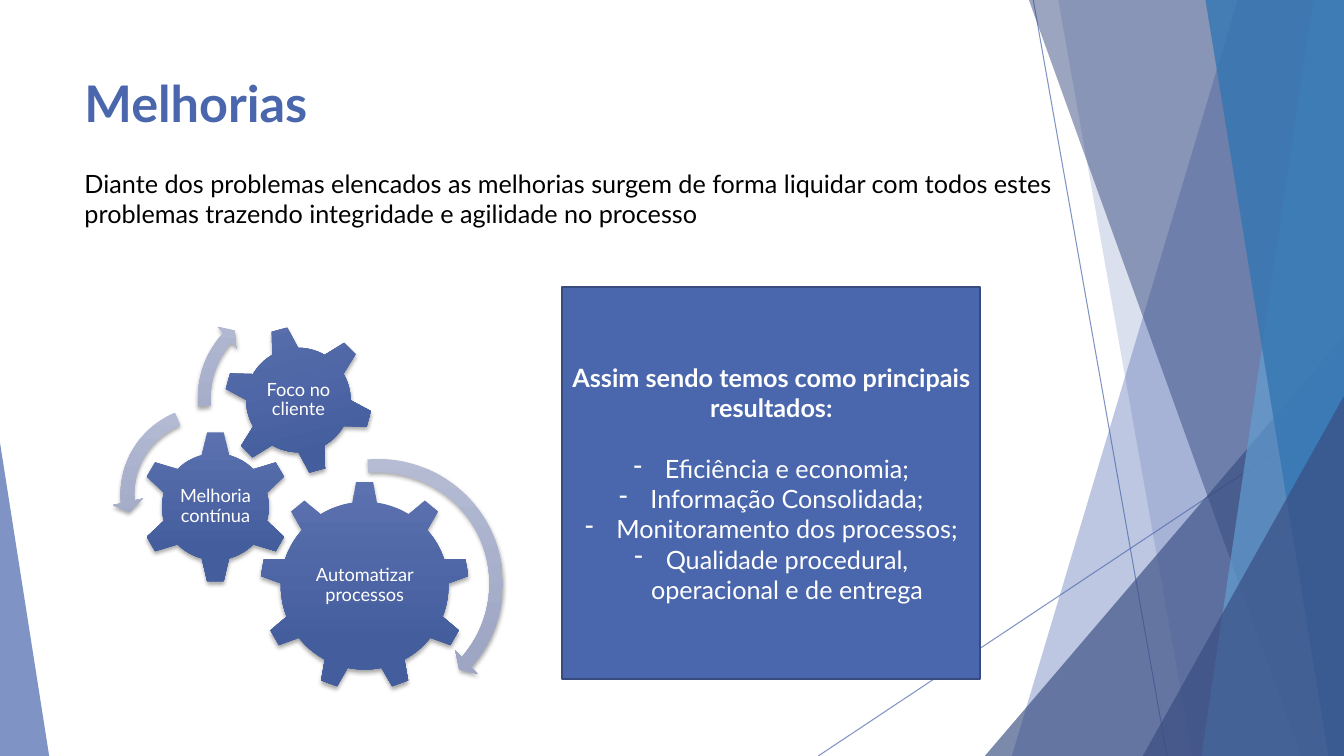
"""Builds the "Melhorias" slide: gears on the left, main results on the right."""
from lxml.etree import SubElement
from pptx import Presentation
from pptx.dml.color import RGBColor
from pptx.enum.shapes import MSO_CONNECTOR, MSO_SHAPE
from pptx.enum.text import MSO_ANCHOR, PP_ALIGN
from pptx.oxml.ns import qn
from pptx.util import Cm, Pt

WIDTH, HEIGHT = 33.87, 19.05
FONT = "Lato"
BLUE, NAVY, SKY, OCEAN = "4A66AC", "384C81", "629DD1", "3477B2"
WHITE, BLACK, PANEL_EDGE = "FFFFFF", "000000", "374B7F"
GEAR_SHADES = ("5C72B0", "445D9D")
ARROW_SHADES = ("B5BCD4", "9FA6C4")

TITLE = "Melhorias"
INTRO = ("Diante dos problemas elencados as melhorias surgem de forma liquidar "
         "com todos estes problemas trazendo integridade e agilidade no processo")
RESULTS_HEADING = "Assim sendo temos como principais resultados:"
RESULTS = [
    "Eficiência e economia;",
    "Informação Consolidada;",
    "Monitoramento dos processos;",
    "Qualidade procedural, operacional e de entrega",
]

# gear: label, preset, left, top, size, rotation, label width, label height
GEARS = [
    ("Automatizar processos", MSO_SHAPE.GEAR_9, 6.55, 12.12, 5.28, 0, 3.15, 2.72),
    ("Melhoria contínua", MSO_SHAPE.GEAR_6, 3.51, 10.85, 3.84, 0, 1.91, 1.91),
    ("Foco no cliente", MSO_SHAPE.GEAR_6, 5.64, 8.2, 3.76, 345, 2.11, 2.11),
]
TURN_ARROWS = [
    (MSO_SHAPE.CIRCULAR_ARROW, 6.15, 11.33, 6.76, (0.05, 2.99, 24.96, 159.06, 0.06)),
    (MSO_SHAPE.LEFT_CIRCULAR_ARROW, 2.82, 10.01, 4.9, (0.07, 4.3, 104.89, 148.38, 0.08)),
    (MSO_SHAPE.CIRCULAR_ARROW, 4.78, 7.39, 5.28, (0.06, 3.94, 133.14, 105.08, 0.07)),
]

RAYS = [(26.04, 0, 29.41, HEIGHT), (WIDTH, 10.24, 20.62, HEIGHT)]
FACETS = [
    ("band", (31.19, 25.5), BLUE, 36),
    ("band", (26.67, 30.05), BLUE, 20),
    ("corner", (24.82, 8.46, WIDTH, 1), NAVY, 66),
    ("band", (25.93, 32.79), NAVY, 50),
    ("band", (33.1, 30.28), SKY, 70),
    ("band", (30.38, 33.48), OCEAN, 80),
    ("corner", (28.8, 9.98, WIDTH, 1), NAVY, 66),
    ("corner", (0, 11.15, 1.24, 0), BLUE, 70),
]


def rgb(colour):
    return RGBColor.from_string(colour)


def paint(fill, colour, opacity=100):
    fill.solid()
    fill.fore_color.rgb = rgb(colour)
    if opacity < 100:
        srgb = fill._xPr.find(".//" + qn("a:srgbClr"))
        SubElement(srgb, qn("a:alpha"), val=str(opacity * 1000))


def add_preset(preset, left, top, width, height):
    shape = slide.shapes.add_shape(preset, Cm(left), Cm(top), Cm(width), Cm(height))
    shape.shadow.inherit = False
    shape.line.fill.background()
    return shape


def add_band(x_top, x_bottom):
    builder = slide.shapes.build_freeform(Cm(x_top), 0)
    corners = [(WIDTH, 0), (WIDTH, HEIGHT), (x_bottom, HEIGHT)]
    builder.add_line_segments([(Cm(x), Cm(y)) for x, y in corners], close=True)
    band = builder.convert_to_shape()
    band.shadow.inherit = False
    band.line.fill.background()
    return band


def add_corner(left, top, right, tip):
    corner = add_preset(MSO_SHAPE.ISOSCELES_TRIANGLE, left, top, right - left, HEIGHT - top)
    corner.adjustments[0] = tip
    return corner


def add_ray(x1, y1, x2, y2):
    ray = slide.shapes.add_connector(MSO_CONNECTOR.STRAIGHT, Cm(x1), Cm(y1), Cm(x2), Cm(y2))
    ray.line.width = Pt(0.75)
    paint(ray.line.fill, BLUE, 70)
    SubElement(ray._element.spPr, qn("a:effectLst"))


def add_glossy(preset, left, top, size, shades):
    part = add_preset(preset, left, top, size, size)
    part.fill.gradient()
    part.fill.gradient_angle = 270
    for stop, position, shade in zip(part.fill.gradient_stops, (0, 0.78), shades):
        stop.position = position
        stop.color.rgb = rgb(shade)
    effects = part._element.spPr.find(qn("a:effectLst"))
    shadow = SubElement(effects, qn("a:outerShdw"), blurRad=str(Pt(3)),
                        dist=str(Pt(2)), dir="5400000", rotWithShape="0")
    black = SubElement(shadow, qn("a:srgbClr"), val=BLACK)
    SubElement(black, qn("a:alpha"), val="35000")
    return part


def style(paragraph, size, colour, bold=False, align=PP_ALIGN.LEFT):
    paragraph.alignment = align
    font = paragraph.font
    font.name, font.size, font.bold = FONT, Pt(size), bold
    font.color.rgb = rgb(colour)


def add_text(text, left, top, width, height, *look):
    box = slide.shapes.add_textbox(Cm(left), Cm(top), Cm(width), Cm(height))
    frame = box.text_frame
    frame.word_wrap = True
    frame.text = text
    style(frame.paragraphs[0], *look)
    return frame


def add_gear(label, preset, left, top, size, rotation, label_width, label_height):
    add_glossy(preset, left, top, size, GEAR_SHADES).rotation = rotation
    frame = add_text(label, left + (size - label_width) / 2, top + (size - label_height) / 2,
                     label_width, label_height, 13, WHITE, False, PP_ALIGN.CENTER)
    frame.vertical_anchor = MSO_ANCHOR.MIDDLE
    frame.margin_left = frame.margin_right = Cm(0.05)
    frame.margin_top = frame.margin_bottom = Cm(0.05)
    frame.paragraphs[0].line_spacing = 0.9


def add_results():
    panel = add_preset(MSO_SHAPE.RECTANGLE, 14.17, 7.24, 10.54, 9.88)
    paint(panel.fill, BLUE)
    paint(panel.line.fill, PANEL_EDGE)
    panel.line.width = Pt(1.5)
    frame = panel.text_frame
    frame.word_wrap = True
    frame.vertical_anchor = MSO_ANCHOR.MIDDLE
    heading = frame.paragraphs[0]
    heading.text = RESULTS_HEADING
    heading.space_after = Pt(21.6)
    style(heading, 18, WHITE, True, PP_ALIGN.CENTER)
    for result in RESULTS:
        item = frame.add_paragraph()
        item.text = result
        properties = item._p.get_or_add_pPr()
        properties.set("marL", str(Cm(0.79)))
        properties.set("indent", str(-Cm(0.79)))
        SubElement(properties, qn("a:buChar"), char="-")
        style(item, 18, WHITE, False, PP_ALIGN.CENTER)


deck = Presentation()
deck.slide_width, deck.slide_height = Cm(WIDTH), Cm(HEIGHT)
slide = deck.slides.add_slide(deck.slide_layouts[6])

for ray_ends in RAYS:
    add_ray(*ray_ends)
for kind, outline, colour, opacity in FACETS:
    facet = add_band(*outline) if kind == "band" else add_corner(*outline)
    paint(facet.fill, colour, opacity)

add_text(TITLE, 1.88, 1.7, 23.88, 3.66, 36, BLUE, True)
add_text(INTRO, 1.88, 4.11, 25.25, 1.8, 18, BLACK)
for gear in GEARS:
    add_gear(*gear)
for preset, left, top, size, bends in TURN_ARROWS:
    turn_arrow = add_glossy(preset, left, top, size, ARROW_SHADES)
    for index, bend in enumerate(bends):
        turn_arrow.adjustments[index] = bend
add_results()

deck.save("out.pptx")
